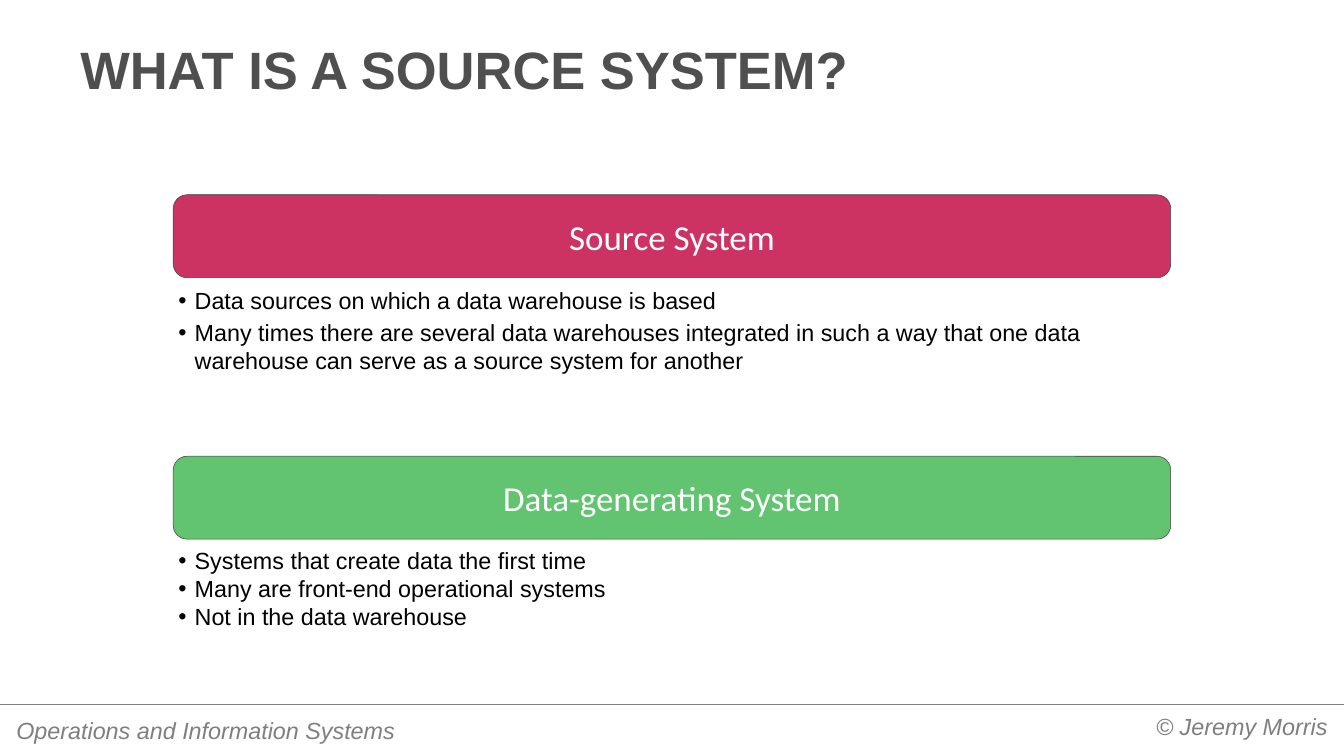
from dataclasses import dataclass

from lxml import etree
from pptx import Presentation
from pptx import util as u
from pptx.dml.color import RGBColor
from pptx.enum import shapes, text
from pptx.oxml import ns

PX = 9144
WIDTH, HEIGHT = 2560, 1440


@dataclass(frozen=True)
class Theme:
    """Colours, fonts and type sizes of the slide."""
    title: str = "4F4F4F"
    body: str = "000000"
    footer: str = "7F7F7F"
    rule: str = "808080"
    outline: str = "404040"
    on_fill: str = "FFFFFF"
    source: str = "CC3363"
    generating: str = "62C370"
    font: str = "Arial"
    banner_font: str = "Calibri"
    title_size: int = 72
    banner_size: int = 48
    body_size: int = 32
    line_width: float = 0.75


THEME = Theme()

SYSTEMS = [
    ("Source System", THEME.source, 371, 169, 180, 6, [
        "Data sources on which a data warehouse is based",
        "Many times there are several data warehouses integrated in such a way "
        "that one data warehouse can serve as a source system for another",
    ]),
    ("Data-generating System", THEME.generating, 869, 166, 172, 0, [
        "Systems that create data the first time",
        "Many are front-end operational systems",
        "Not in the data warehouse",
    ]),
]


def emu(*lengths):
    """Turn px lengths into EMU."""
    return [u.Emu(length * PX) for length in lengths]


def rgb(colour):
    """Turn a hex string into a colour."""
    return RGBColor.from_string(colour)


def style(paragraph, size, colour, font=THEME.font, bold=False, italic=False):
    """Format every run of a paragraph."""
    for run in paragraph.runs:
        run.font.size = u.Pt(size)
        run.font.name = font
        run.font.bold = bold
        run.font.italic = italic
        run.font.color.rgb = rgb(colour)


def add_text(slide, box, wording, insets=(10, 5)):
    """Place a wrapping text box and return its frame."""
    frame = slide.shapes.add_textbox(*emu(*box)).text_frame
    frame.word_wrap = True
    across, down = emu(*insets)
    frame.margin_left = frame.margin_right = across
    frame.margin_top = frame.margin_bottom = down
    frame.text = wording
    return frame


def add_title(slide, box):
    """Place the slide title at the bottom of its box."""
    title = add_text(slide, box, "WHAT IS A SOURCE SYSTEM?", (25, 12))
    title.vertical_anchor = text.MSO_ANCHOR.BOTTOM
    style(title.paragraphs[0], THEME.title_size, THEME.title, bold=True)


def add_footer(slide, box):
    """Place the rule, course name and author line."""
    left, top, width, _ = box
    rule = slide.shapes.add_connector(
        shapes.MSO_CONNECTOR.STRAIGHT, *emu(left, top, left + width, top))
    rule.line.color.rgb = rgb(THEME.rule)
    rule.line.width = u.Pt(THEME.line_width)
    etree.SubElement(rule.element.spPr, ns.qn("a:effectLst"))

    author_box = (left + 1458, top + 7, 1089, 126)
    course_box = (left + 13, top + 15, 875, 72)
    for place, wording, align in (
            (author_box, "© Jeremy Morris", text.PP_ALIGN.RIGHT),
            (course_box, "Operations and Information Systems", text.PP_ALIGN.LEFT)):
        line = add_text(slide, place, wording, (18, 9)).paragraphs[0]
        line.alignment = align
        style(line, THEME.body_size, THEME.footer, italic=True)


def add_banner(slide, box, wording, fill):
    """Place a rounded heading bar."""
    banner = slide.shapes.add_shape(
        shapes.MSO_SHAPE.ROUNDED_RECTANGLE, *emu(*box))
    banner.shadow.inherit = False
    banner.fill.solid()
    banner.fill.fore_color.rgb = rgb(fill)
    banner.line.color.rgb = rgb(THEME.outline)
    banner.line.width = u.Pt(THEME.line_width)
    banner.text_frame.text = wording
    banner.text_frame.vertical_anchor = text.MSO_ANCHOR.MIDDLE
    heading = banner.text_frame.paragraphs[0]
    heading.alignment = text.PP_ALIGN.CENTER
    style(heading, THEME.banner_size, THEME.on_fill, THEME.banner_font)


def add_bullets(slide, box, points, gap):
    """Place a bulleted list with a gap in points after each item."""
    indent, = emu(31)
    for point in add_text(slide, box, "\n".join(points)).paragraphs:
        point.space_after = u.Pt(gap)
        style(point, THEME.body_size, THEME.body)
        properties = point._p.get_or_add_pPr()
        properties.set("marL", str(indent))
        properties.set("indent", str(-indent))
        etree.SubElement(properties, ns.qn("a:buFont"), typeface=THEME.font)
        etree.SubElement(properties, ns.qn("a:buChar"), char="•")


def add_system(slide, box, name, fill, offset, points, gap):
    """Place a heading bar with its bullets below."""
    left, top, width, height = box
    add_banner(slide, (left, top, width, 158), name, fill)
    add_bullets(slide, (left, top + offset, width, height - offset), points, gap)


def main():
    """Build and save the slide."""
    deck = Presentation()
    deck.slide_width, deck.slide_height = emu(WIDTH, HEIGHT)
    slide = deck.slides.add_slide(deck.slide_layouts[6])
    add_footer(slide, (0, 1341, WIDTH, 99))
    add_title(slide, (128, 53, 2304, 149))
    for name, fill, top, offset, depth, gap, points in SYSTEMS:
        add_system(slide, (330, top, 1900, offset + depth),
                   name, fill, offset, points, gap)
    deck.save("out.pptx")


if __name__ == "__main__":
    main()
